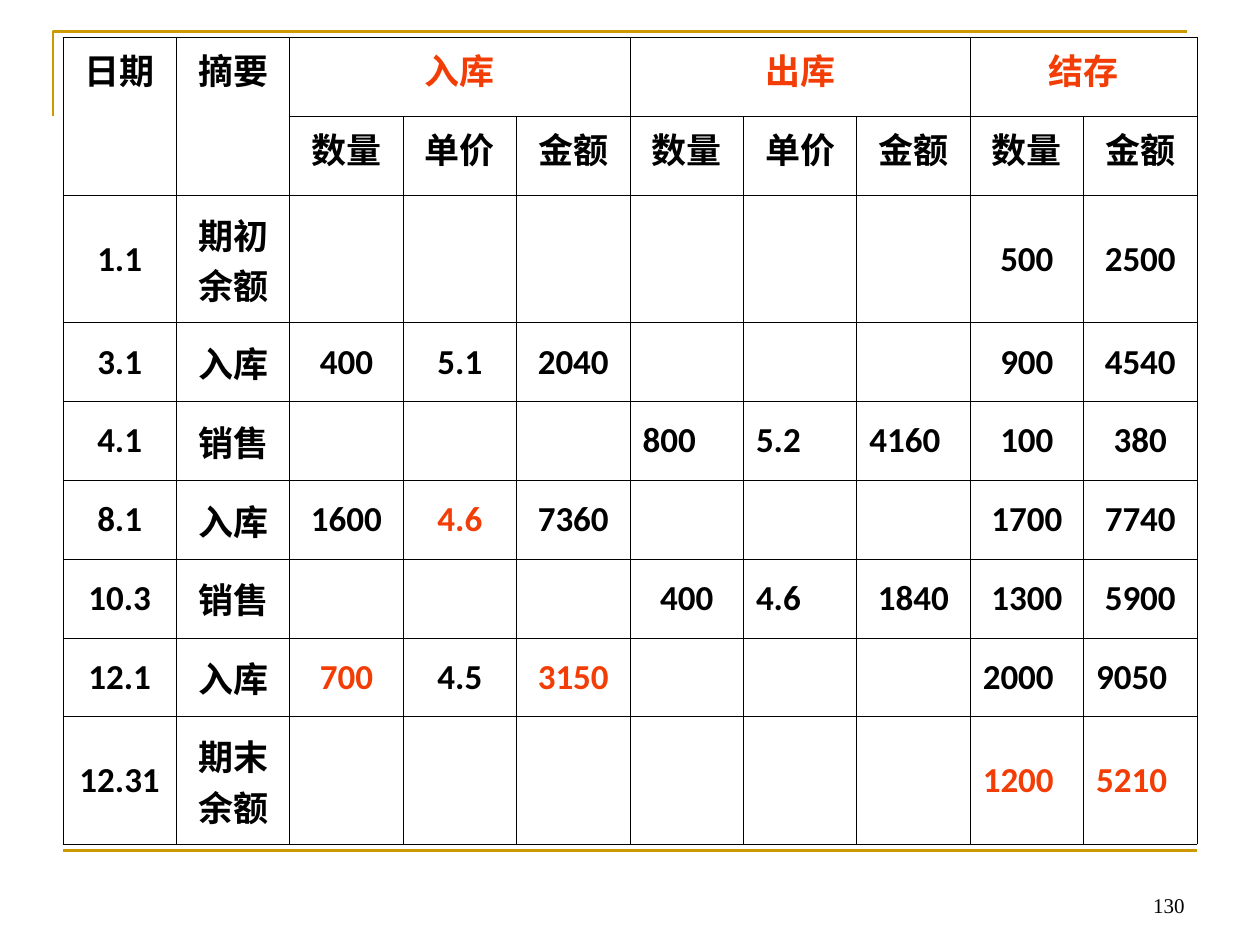
from dataclasses import dataclass

from lxml.etree import SubElement
from pptx import Presentation
from pptx.dml.color import RGBColor as RGB
from pptx.enum.shapes import MSO_CONNECTOR as Link
from pptx.enum.text import MSO_ANCHOR as Anchor, PP_ALIGN as Align
from pptx.oxml.ns import qn
from pptx.util import Inches, Pt


@dataclass(frozen=True)
class Theme:
    ink: RGB = RGB(0, 0, 0)
    hot: RGB = RGB(0xF2, 0x3E, 0x06)
    gold: RGB = RGB(0xCC, 0x99, 0x00)
    han: str = "Noto Sans CJK SC"
    latin: str = "Calibri"
    serif: str = "Times New Roman"
    body: Pt = Pt(20)
    small: Pt = Pt(12)
    rule: Pt = Pt(1.5)
    grid: Pt = Pt(0.45)


@dataclass(frozen=True)
class Entry:
    text: str
    hot: bool = False
    align: Align = Align.CENTER


@dataclass(frozen=True)
class Span:
    row: int
    col: int
    rows: int
    cols: int


THEME = Theme()


def red(text: str, align: Align = Align.CENTER) -> Entry:
    return Entry(text, True, align)


def just(text: str) -> Entry:
    return Entry(text, align=Align.JUSTIFY)


# Stock ledger: two heading rows, then one row per event
GAP = [""] * 3
HEADS = ["数量", "单价", "金额"]
LEDGER = [
    ["日期", "摘要", red("入库"), "", "", red("出库"), "", "", red("结存"), ""],
    ["", "", *HEADS, *HEADS, "数量", "金额"],
    ["1.1", "期初余额", *GAP, *GAP, "500", "2500"],
    ["3.1", "入库", "400", "5.1", "2040", *GAP, "900", "4540"],
    ["4.1", "销售", *GAP, just("800"), just("5.2"), just("4160"), "100", "380"],
    ["8.1", "入库", "1600", red("4.6"), "7360", *GAP, "1700", "7740"],
    ["10.3", "销售", *GAP, "400", just("4.6"), "1840", "1300", "5900"],
    ["12.1", "入库", red("700"), "4.5", red("3150"), *GAP, just("2000"), just("9050")],
    ["12.31", "期末余额", *GAP, *GAP,
     red("1200", Align.JUSTIFY), red("5210", Align.JUSTIFY)],
]
SPANS = [Span(0, 0, 2, 1), Span(0, 1, 2, 1), Span(0, 2, 1, 3),
         Span(0, 5, 1, 3), Span(0, 8, 1, 2)]
TALL = {2: 1.01, 8: 1.01}
HIGH = 6.4


def draw_frame(slide) -> None:
    """Corner line at the top left and rule at the foot."""
    pen = slide.shapes.build_freeform(Inches(0.42), Inches(0.92))
    pen.add_line_segments([(Inches(0.42), Inches(0.25)),
                           (Inches(9.42), Inches(0.25))], close=False)
    edge = pen.convert_to_shape()
    edge.fill.background()
    edge.shadow.inherit = False
    foot = slide.shapes.add_connector(
        Link.STRAIGHT, Inches(0.5), Inches(6.75), Inches(9.5), Inches(6.75))
    for item in (edge, foot):
        item.line.color.rgb = THEME.gold
        item.line.width = THEME.rule
    SubElement(foot._element.spPr, qn("a:effectLst"))


def draw_number(slide, text: str) -> None:
    box = slide.shapes.add_textbox(
        Inches(7.17), Inches(6.83), Inches(2.33), Inches(0.5))
    frame = box.text_frame
    frame.word_wrap = True
    frame.vertical_anchor = Anchor.BOTTOM
    para = frame.paragraphs[0]
    para.text, para.alignment = text, Align.RIGHT
    para.font.size, para.font.name = THEME.small, THEME.serif
    para.font.color.rgb = THEME.ink


def add_edges(cell) -> None:
    props = cell._tc.get_or_add_tcPr()
    for side in ("lnL", "lnR", "lnT", "lnB"):
        line = SubElement(props, qn(f"a:{side}"), w=str(int(THEME.grid)))
        fill = SubElement(line, qn("a:solidFill"))
        SubElement(fill, qn("a:srgbClr"), val=str(THEME.ink))


def fill_cell(cell, entry: Entry, anchor: Anchor) -> None:
    cell.vertical_anchor = anchor
    para = cell.text_frame.paragraphs[0]
    para.text, para.alignment = entry.text, entry.align
    font = para.font
    font.size, font.bold = THEME.body, True
    font.color.rgb = THEME.hot if entry.hot else THEME.ink
    font.name = THEME.latin if entry.text.isascii() else THEME.han
    # East Asian glyphs take their own typeface
    SubElement(font._element, qn("a:ea"), typeface=THEME.han)


def draw_ledger(slide) -> None:
    rows, cols = len(LEDGER), len(LEDGER[0])
    table = slide.shapes.add_table(
        rows, cols, Inches(0.5), Inches(0.3), Inches(9), Inches(HIGH)).table
    table.first_row = table.horz_banding = False
    plain = (HIGH - sum(TALL.values())) / (rows - len(TALL))
    for r, line in enumerate(LEDGER):
        table.rows[r].height = Inches(TALL.get(r, plain))
        for c, item in enumerate(line):
            cell = table.cell(r, c)
            add_edges(cell)
            cell.margin_left = cell.margin_right = Inches(0.1)
            cell.margin_top = cell.margin_bottom = Inches(0.05)
            cell.fill.background()
            if item:
                entry = item if isinstance(item, Entry) else Entry(item)
                fill_cell(cell, entry, Anchor.TOP if r < 2 else Anchor.MIDDLE)
    for s in SPANS:
        last = table.cell(s.row + s.rows - 1, s.col + s.cols - 1)
        table.cell(s.row, s.col).merge(last)


def main() -> None:
    deck = Presentation()
    deck.slide_width, deck.slide_height = Inches(10), Inches(7.5)
    slide = deck.slides.add_slide(deck.slide_layouts[6])
    draw_frame(slide)
    draw_number(slide, "130")
    draw_ledger(slide)
    deck.save("out.pptx")


if __name__ == "__main__":
    main()
